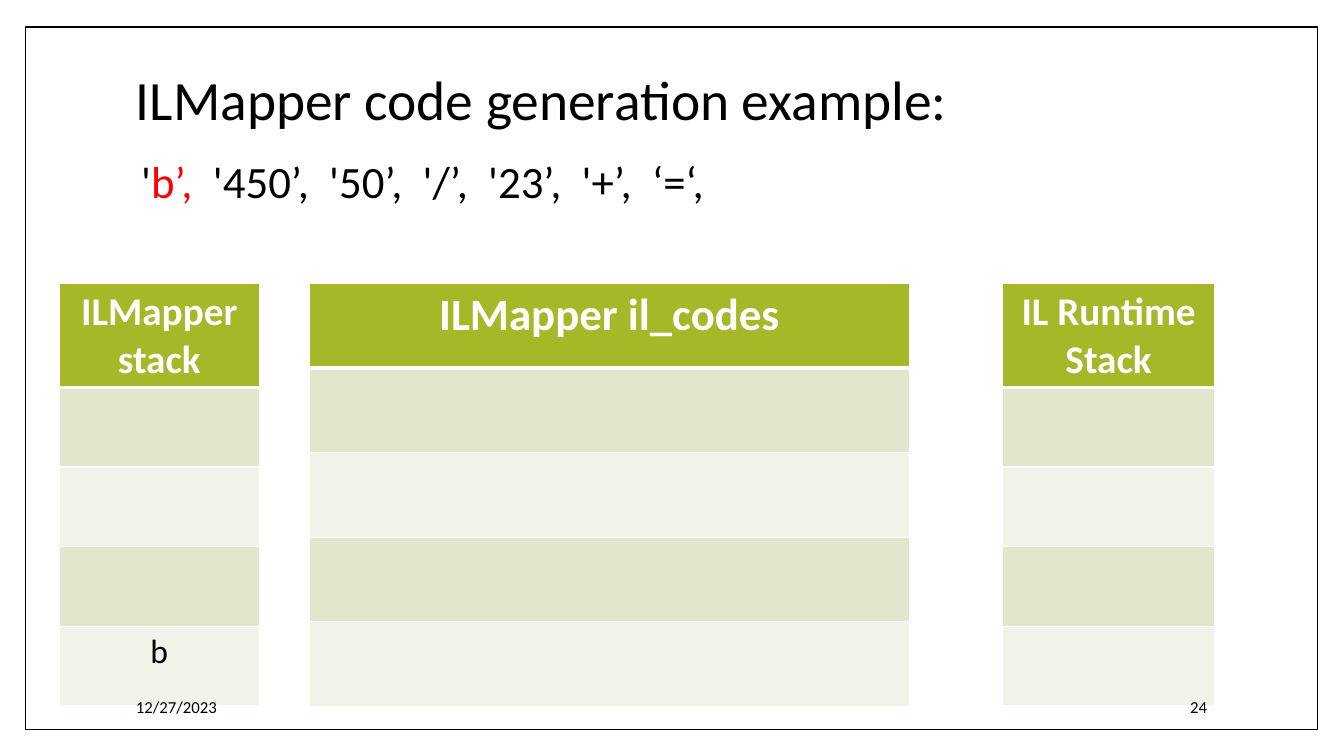
import pptx
import pptx.dml.color
import pptx.enum.shapes
import pptx.enum.text
import pptx.oxml
import pptx.oxml.ns
import pptx.util
from pptx.util import Inches

FONT = "Calibri"
BLACK, WHITE, RED = "000000", "FFFFFF", "FF0000"
HEADER_FILL = "A6B727"
BAND_FILLS = ("E1E6CD", "F1F3E8")
TABLE_TOP = 2.81
BODY_ROWS = 4
ALIGN = pptx.enum.text.PP_ALIGN
ANCHOR = pptx.enum.text.MSO_ANCHOR


def color(hex_value):
    return pptx.dml.color.RGBColor.from_string(hex_value)


def add_run(paragraph, text, size, hex_value, bold=False):
    run = paragraph.add_run()
    run.text = text
    run.font.name = FONT
    run.font.size = pptx.util.Pt(size)
    run.font.bold = bold
    run.font.color.rgb = color(hex_value)


def add_frame(slide, left, top, width, height):
    frame = slide.shapes.add_shape(pptx.enum.shapes.MSO_SHAPE.RECTANGLE, Inches(left),
                                   Inches(top), Inches(width), Inches(height))
    frame.shadow.inherit = False
    frame.fill.solid()
    frame.fill.fore_color.rgb = color(WHITE)
    frame.line.color.rgb = color(BLACK)
    frame.line.width = pptx.util.Pt(1)


def add_text(slide, left, top, width, height, runs, size,
             anchor=ANCHOR.MIDDLE, align=ALIGN.LEFT, line_spacing=1.0, indent=0):
    """Add a one-paragraph text box; runs are (text, colour) pairs."""
    box = slide.shapes.add_textbox(Inches(left), Inches(top), Inches(width), Inches(height))
    frame = box.text_frame
    frame.word_wrap = True
    frame.vertical_anchor = anchor
    frame.margin_left = Inches(0.1 + indent)
    paragraph = frame.paragraphs[0]
    paragraph.alignment = align
    paragraph.line_spacing = line_spacing
    for text, hex_value in runs:
        add_run(paragraph, text, size, hex_value)


def style_cell(cell, fill, top_width, bottom_width):
    properties = cell._tc.get_or_add_tcPr()
    for side, points in (("L", 1), ("R", 1), ("T", top_width), ("B", bottom_width)):
        properties.append(pptx.oxml.parse_xml(
            f'<a:ln{side} {pptx.oxml.ns.nsdecls("a")} w="{pptx.util.Pt(points)}">'
            f'<a:solidFill><a:srgbClr val="{WHITE}"/></a:solidFill></a:ln{side}>'))
    cell.fill.solid()
    cell.fill.fore_color.rgb = color(fill)


def write_cell(cell, lines, size, hex_value, bold=False):
    frame = cell.text_frame
    for index, line in enumerate(lines):
        paragraph = frame.add_paragraph() if index else frame.paragraphs[0]
        paragraph.alignment = ALIGN.CENTER
        add_run(paragraph, line, size, hex_value, bold)


def add_stack_table(slide, left, width, row_height, header_lines, header_size):
    """Add a one-column table with a header and empty banded rows."""
    rows = BODY_ROWS + 1
    table = slide.shapes.add_table(rows, 1, Inches(left), Inches(TABLE_TOP), Inches(width),
                                   Inches(row_height * rows)).table
    header = table.cell(0, 0)
    style_cell(header, HEADER_FILL, 1, 3)
    write_cell(header, header_lines, header_size, WHITE, bold=True)
    for row in range(1, rows):
        style_cell(table.cell(row, 0), BAND_FILLS[(row - 1) % 2], 3 if row == 1 else 1, 1)
    return table


def main():
    presentation = pptx.Presentation()
    presentation.slide_width = Inches(13.33)
    presentation.slide_height = Inches(7.5)
    slide = presentation.slides.add_slide(presentation.slide_layouts[6])

    # Frame, title and input tokens
    add_frame(slide, 0.25, 0.27, 12.82, 6.97)
    add_text(slide, 1.25, 0.67, 10.8, 0.7,
             [("ILMapper code generation example:", BLACK)], 39.6, line_spacing=0.9)
    tokens = [("'", BLACK), ("b’,  ", RED),
              ("'450’,  '50’,  '/’,  '23’,  '+’,  ‘=‘,", BLACK)]
    add_text(slide, 1.25, 1.54, 7.99, 1.14, tokens, 32,
             anchor=ANCHOR.TOP, line_spacing=0.9, indent=0.05)

    # Stacks and generated codes
    mapper_stack = add_stack_table(slide, 0.59, 1.98, 0.79, ["ILMapper", "stack"], 28)
    write_cell(mapper_stack.cell(BODY_ROWS, 0), ["b"], 24, BLACK)
    add_stack_table(slide, 9.94, 2.11, 0.79, ["IL Runtime Stack"], 28)
    add_stack_table(slide, 3.07, 5.95, 0.84, ["ILMapper il_codes"], 32)

    # Footer
    add_text(slide, 1.25, 6.81, 2.55, 0.4, [("12/27/2023", BLACK)], 12)
    add_text(slide, 10.2, 6.81, 1.87, 0.4, [("24", BLACK)], 12, align=ALIGN.RIGHT)

    presentation.save("out.pptx")


if __name__ == "__main__":
    main()
